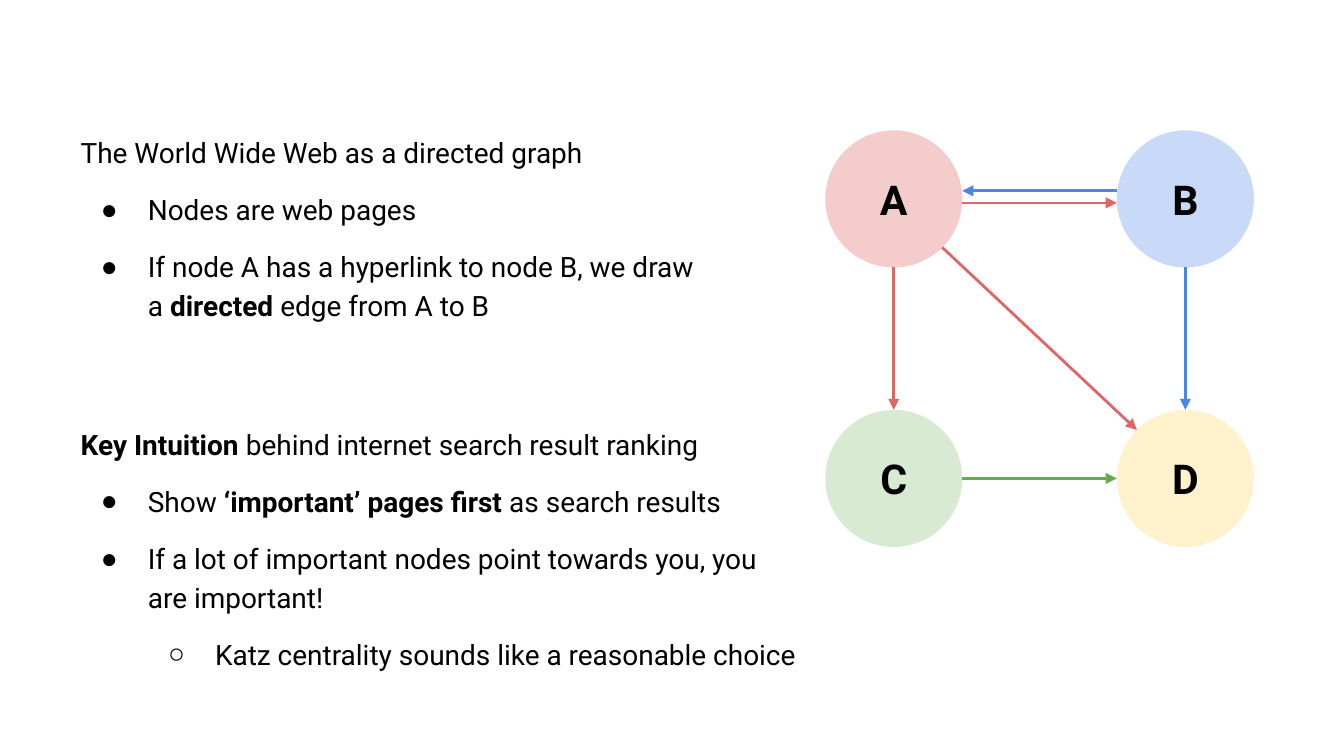
import math

from lxml import etree
from pptx import Presentation
from pptx import util as u
from pptx.dml.color import RGBColor
from pptx.enum import shapes, text
from pptx.oxml import ns

FONT = "Roboto"
BLACK = "000000"
RADIUS = 0.51
DIAGONAL = math.sqrt(0.5)

# Each page: centre x, centre y, fill
PAGES = {
    "A": (6.65, 1.48, "F4CCCC"),
    "B": (8.82, 1.48, "C9DAF8"),
    "C": (6.65, 3.56, "D9EAD3"),
    "D": (8.82, 3.56, "FFF2CC"),
}

# Each hyperlink: from page, to page, direction, colour, vertical shift
HYPERLINKS = [
    ("A", "B", (1, 0), "E06666", 0.03),
    ("B", "A", (-1, 0), "4A86E8", -0.06),
    ("A", "D", (DIAGONAL, DIAGONAL), "E06666", 0),
    ("A", "C", (0, 1), "E06666", 0),
    ("C", "D", (1, 0), "6AA84F", 0),
    ("B", "D", (0, 1), "4A86E8", 0),
]

# Each line: outline depth (0 is a heading), runs as (text, bold)
WEB_GRAPH = [
    (0, [("The World Wide Web as a directed graph", False)]),
    (1, [("Nodes are web pages", False)]),
    (1, [("If node A has a hyperlink to node B, we draw a ", False),
         ("directed", True), (" edge from A to B", False)]),
]
KEY_INTUITION = [
    (0, [("Key Intuition", True),
         (" behind internet search result ranking", False)]),
    (1, [("Show ", False), ("‘important’ pages first", True),
         (" as search results", False)]),
    (1, [("If a lot of important nodes point towards you, "
          "you are important!", False)]),
    (2, [("Katz centrality sounds like a reasonable choice", False)]),
]
BULLETS = {1: "●", 2: "○"}


def rgb(colour):
    return RGBColor.from_string(colour)


def add_text(paragraph, words, size=15, bold=False, colour=BLACK):
    run = paragraph.add_run()
    run.text = words
    run.font.name = FONT
    run.font.size = u.Pt(size)
    run.font.bold = bold
    run.font.color.rgb = rgb(colour)


def set_margins(frame):
    frame.margin_left = frame.margin_right = u.Inches(0.1)
    frame.margin_top = frame.margin_bottom = u.Inches(0.1)


def set_bullet(paragraph, depth):
    props = paragraph._p.get_or_add_pPr()
    indent = -0.35 if depth else 0
    props.set("marL", str(u.Inches(0.5 * depth)))
    props.set("indent", str(u.Inches(indent)))
    if not depth:
        etree.SubElement(props, ns.qn("a:buNone"))
        return
    bullet_colour = etree.SubElement(props, ns.qn("a:buClr"))
    etree.SubElement(bullet_colour, ns.qn("a:srgbClr"), val=BLACK)
    etree.SubElement(props, ns.qn("a:buChar"), char=BULLETS[depth])


def fill_outline(body, lines, top, width, height):
    body.left, body.top = u.Inches(0.5), u.Inches(top)
    body.width, body.height = u.Inches(width), u.Inches(height)
    frame = body.text_frame
    set_margins(frame)
    frame.word_wrap = True
    frame.auto_size = text.MSO_AUTO_SIZE.SHAPE_TO_FIT_TEXT
    frame.vertical_anchor = text.MSO_ANCHOR.TOP
    for number, (depth, runs) in enumerate(lines):
        line = frame.add_paragraph() if number else frame.paragraphs[0]
        line.level = max(depth - 1, 0)
        line.alignment = text.PP_ALIGN.LEFT
        line.line_spacing = 1.15
        line.space_before = u.Pt(10 if depth else 0)
        line.space_after = u.Pt(10 if number == len(lines) - 1 else 0)
        set_bullet(line, depth)
        for words, bold in runs:
            add_text(line, words, bold=bold)


def add_page(slide, label, x, y, fill):
    page = slide.shapes.add_shape(
        shapes.MSO_SHAPE.OVAL, u.Inches(x - RADIUS), u.Inches(y - RADIUS),
        u.Inches(2 * RADIUS), u.Inches(2 * RADIUS))
    page.shadow.inherit = False
    page.fill.solid()
    page.fill.fore_color.rgb = rgb(fill)
    page.line.fill.background()
    frame = page.text_frame
    set_margins(frame)
    frame.vertical_anchor = text.MSO_ANCHOR.MIDDLE
    frame.paragraphs[0].alignment = text.PP_ALIGN.CENTER
    add_text(frame.paragraphs[0], label, size=22, bold=True)


def add_hyperlink(slide, source, target, direction, colour, shift):
    reach_x, reach_y = (RADIUS * part for part in direction)
    x1, y1, _ = PAGES[source]
    x2, y2, _ = PAGES[target]
    arrow = slide.shapes.add_connector(
        shapes.MSO_CONNECTOR.STRAIGHT,
        u.Inches(x1 + reach_x), u.Inches(y1 + reach_y + shift),
        u.Inches(x2 - reach_x), u.Inches(y2 - reach_y + shift))
    arrow.line.color.rgb = rgb(colour)
    arrow.line.width = u.Pt(1.5)
    etree.SubElement(arrow.line._get_or_add_ln(), ns.qn("a:tailEnd"),
                     type="triangle")
    etree.SubElement(arrow._element.spPr, ns.qn("a:effectLst"))


def main():
    deck = Presentation()
    # Widescreen, 16:9
    deck.slide_width = u.Inches(10)
    deck.slide_height = u.Inches(10 * 9 / 16)
    slide = deck.slides.add_slide(deck.slide_layouts.get_by_name("Two Content"))

    # The slide has two lists and no title
    heading = slide.shapes.title._element
    heading.getparent().remove(heading)
    fill_outline(slide.placeholders[1], WEB_GRAPH, 0.87, 4.87, 1.61)
    fill_outline(slide.placeholders[2], KEY_INTUITION, 3.04, 5.56, 2.04)

    # Directed graph of pages
    for label, (x, y, fill) in PAGES.items():
        add_page(slide, label, x, y, fill)
    for hyperlink in HYPERLINKS:
        add_hyperlink(slide, *hyperlink)

    deck.save("out.pptx")


if __name__ == "__main__":
    main()
